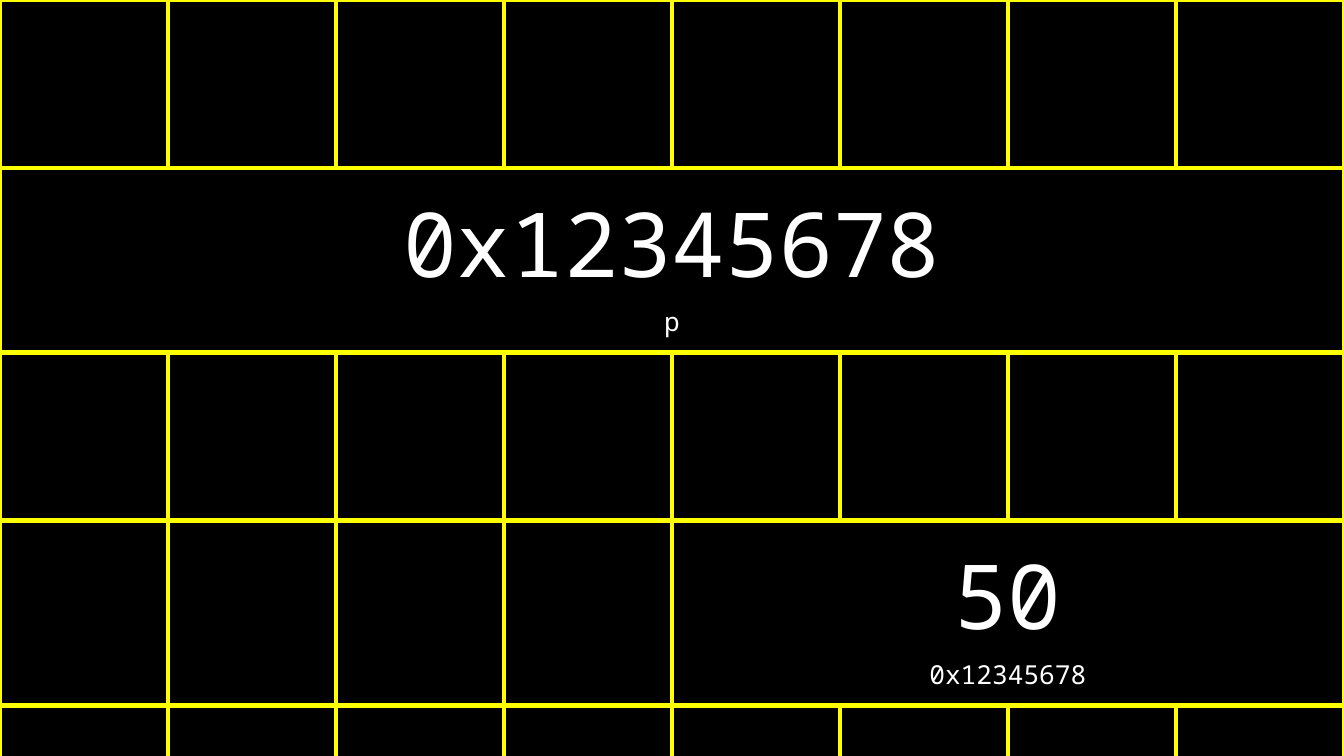
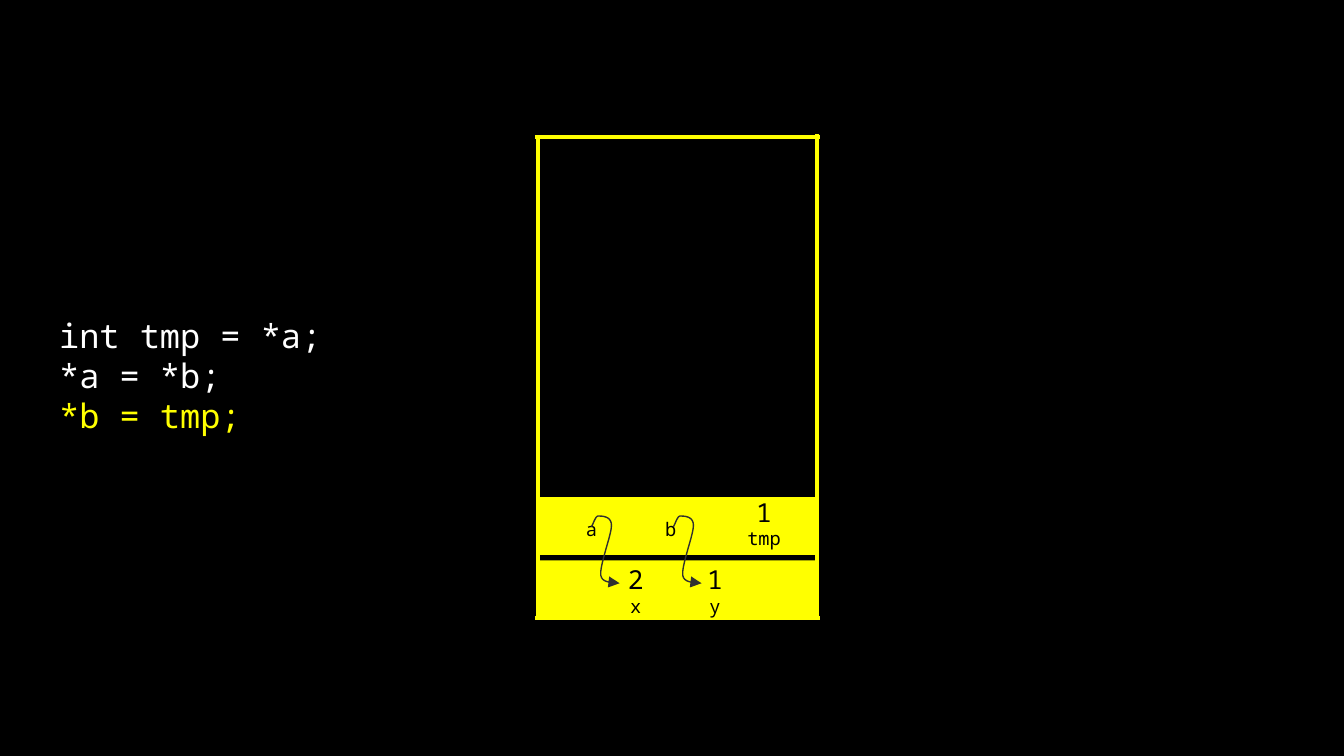
from pptx import Presentation
from pptx.dml.color import RGBColor
from pptx.enum.shapes import MSO_CONNECTOR as Connector, MSO_SHAPE as Shape
from pptx.enum.text import MSO_ANCHOR as Anchor, MSO_AUTO_SIZE as AutoSize, PP_ALIGN as Align
from pptx.oxml import parse_xml
from pptx.oxml.ns import nsdecls
from pptx.util import Emu, Pt

EMU_PER_PX = 4572  # 200 px to the inch
WIDTH, HEIGHT = 2000, 1125
FONT = "Noto Sans Mono"
BLACK, WHITE, YELLOW, ARROW_GREY = "000000", "FFFFFF", "FFFF00", "303030"
INSET = 20
BODY_LAYOUT, BLANK_LAYOUT = 1, 6

# Start point, then cubic curves as two controls and an end
HOOK_START = (0, 16)
HOOK_CURVES = [
    ((2, 14), (6, 0), (10, 0)),
    ((16, 0), (30, 0), (30, 14)),
    ((30, 28), (12, 74), (14, 88)),
    ((16, 102), (38, 98), (42, 100)),
]


def px(value):
    return Emu(round(value * EMU_PER_PX))


def rgb(color):
    return RGBColor.from_string(color)


def element(tag, content="", attributes=""):
    return parse_xml(f'<a:{tag} {nsdecls("a")} {attributes}>{content}</a:{tag}>')


def curve_points(start, curves, steps=10):
    """Points along a chain of cubic curves, without the start."""
    points = []
    for first, second, end in curves:
        for step in range(1, steps + 1):
            t = step / steps
            weights = ((1 - t) ** 3, 3 * t * (1 - t) ** 2, 3 * t * t * (1 - t), t ** 3)
            corners = (start, first, second, end)
            points.append(tuple(sum(weight * corner[axis] for weight, corner in zip(weights, corners))
                                for axis in (0, 1)))
        start = end
    return points


class Deck:
    def __init__(self):
        self.presentation = Presentation()
        self.presentation.slide_width = px(WIDTH)
        self.presentation.slide_height = px(HEIGHT)
        self.slide = None

    def add_slide(self, layout):
        layouts = self.presentation.slide_layouts
        self.slide = self.presentation.slides.add_slide(layouts[layout])
        background = self.slide.background.fill
        background.solid()
        background.fore_color.rgb = rgb(BLACK)

    def set_lines(self, text_frame, lines, align=Align.CENTER):
        """Fill a text frame with (text, size, color) lines."""
        text_frame.text = "\n".join(text for text, _, _ in lines)
        for paragraph, (_, size, color) in zip(text_frame.paragraphs, lines):
            paragraph.alignment = align
            for run in paragraph.runs:
                run.font.name = FONT
                run.font.size = Pt(size)
                run.font.color.rgb = rgb(color)

    def inset(self, text_frame, top=INSET, bottom=INSET):
        text_frame.margin_left = text_frame.margin_right = px(INSET)
        text_frame.margin_top, text_frame.margin_bottom = px(top), px(bottom)
        text_frame.word_wrap = True

    def border(self, cell, color, width):
        properties = cell._tc.get_or_add_tcPr()
        fill = f'<a:solidFill><a:srgbClr val="{color}"/></a:solidFill>'
        for index, side in enumerate(("lnL", "lnR", "lnT", "lnB")):
            properties.insert(index, element(side, fill, f'w="{Pt(width)}"'))

    def memory_grid(self, rows, columns, size, values):
        """Square cells; values maps (row, column) to a merged cell's width and lines."""
        table = self.slide.shapes.add_table(
            rows, columns, 0, 0, px(columns * size), px(rows * size)).table
        table.first_row = table.horz_banding = False
        for track in table.columns:
            track.width = px(size)
        for track in table.rows:
            track.height = px(size)
        for (row, column), (span, lines) in values.items():
            cell = table.cell(row, column)
            cell.merge(table.cell(row, column + span - 1))
            self.set_lines(cell.text_frame, lines)
        for cell in table.iter_cells():
            cell.fill.background()
            cell.margin_left = cell.margin_right = px(INSET)
            cell.margin_top = cell.margin_bottom = px(INSET)
            if not cell.is_spanned:
                self.border(cell, YELLOW, 3)

    def line(self, start, end, color):
        connector = self.slide.shapes.add_connector(
            Connector.STRAIGHT, *map(px, (*start, *end)))
        connector.line.color.rgb = rgb(color)
        connector.line.width = Pt(2.25)
        connector._element.spPr.append(element("effectLst"))

    def rectangle(self, left, top, width, height, color):
        shape = self.slide.shapes.add_shape(
            Shape.RECTANGLE, *map(px, (left, top, width, height)))
        shape.shadow.inherit = False
        shape.fill.solid()
        shape.fill.fore_color.rgb = rgb(color)
        shape.line.fill.background()

    def variable(self, left, top, width, name, value=None):
        """A value over its name; a pointer has its name only, at the same height."""
        text_frame = self.slide.shapes.add_textbox(
            *map(px, (left, top, width, 102))).text_frame
        lines = [(name, 10, BLACK)]
        if value is None:
            self.inset(text_frame, top=INSET + 53, bottom=0)
        else:
            self.inset(text_frame)
            lines.insert(0, (value, 14, BLACK))
        self.set_lines(text_frame, lines)

    def hook_arrow(self, left, top):
        def place(point):
            return px(left + point[0]), px(top + point[1])

        builder = self.slide.shapes.build_freeform(*place(HOOK_START))
        builder.add_line_segments(
            [place(point) for point in curve_points(HOOK_START, HOOK_CURVES)], close=False)
        shape = builder.convert_to_shape()
        shape.shadow.inherit = False
        shape.fill.background()
        shape.line.color.rgb = rgb(ARROW_GREY)
        shape.line.width = Pt(0.75)
        shape.line._get_or_add_ln().append(element("tailEnd", attributes='type="triangle"'))

    def code(self, left, top, width, height, lines):
        title = self.slide.shapes.title
        title._element.getparent().remove(title._element)
        body = self.slide.placeholders[1]
        body.left, body.top, body.width, body.height = map(px, (left, top, width, height))
        text_frame = body.text_frame
        self.inset(text_frame, bottom=INSET + 136)
        text_frame.auto_size = AutoSize.NONE
        text_frame.vertical_anchor = Anchor.MIDDLE
        self.set_lines(text_frame, lines, Align.LEFT)
        for paragraph in text_frame.paragraphs:
            paragraph.line_spacing = 1.0
            paragraph.space_before = Pt(0)
            properties = paragraph._p.get_or_add_pPr()
            properties.set("marL", "0")
            properties.set("indent", "0")
            properties.append(element("buNone"))


def pointer_in_memory(deck):
    deck.add_slide(BLANK_LAYOUT)
    deck.memory_grid(5, 8, 250, {
        (1, 0): (8, [("0x12345678", 48, WHITE), ("p", 14, WHITE)]),
        (3, 4): (4, [("50", 48, WHITE), ("0x12345678", 14, WHITE)]),
    })


def swap_on_stack(deck):
    deck.add_slide(BODY_LAYOUT)
    left, right = 796, 1220
    for y in (742, 830):
        deck.line((left, y), (right, y), BLACK)
    deck.line((1216, 200), (1216, 920), YELLOW)
    deck.line((800, 202), (800, 922), YELLOW)
    for y in (204, 920):
        deck.line((left, y), (right, y), YELLOW)
    deck.rectangle(800, 834, 416, 86, YELLOW)
    deck.rectangle(802, 740, 416, 86, YELLOW)

    swap_row, main_row = 718, 818
    deck.variable(848, swap_row, 64, "a")
    deck.variable(966, swap_row, 64, "b")
    deck.variable(1090, swap_row, 94, "tmp", "1")
    deck.variable(914, main_row, 64, "x", "2")
    deck.variable(1032, main_row, 64, "y", "1")
    for x in (880, 1002):
        deck.hook_arrow(x, 768)

    deck.code(68, 252, 1864, 748, [
        ("int tmp = *a;", 18, WHITE),
        ("*a = *b;", 18, WHITE),
        ("*b = tmp;", 18, YELLOW),
    ])


def main():
    deck = Deck()
    pointer_in_memory(deck)
    swap_on_stack(deck)
    deck.presentation.save("out.pptx")


if __name__ == "__main__":
    main()
